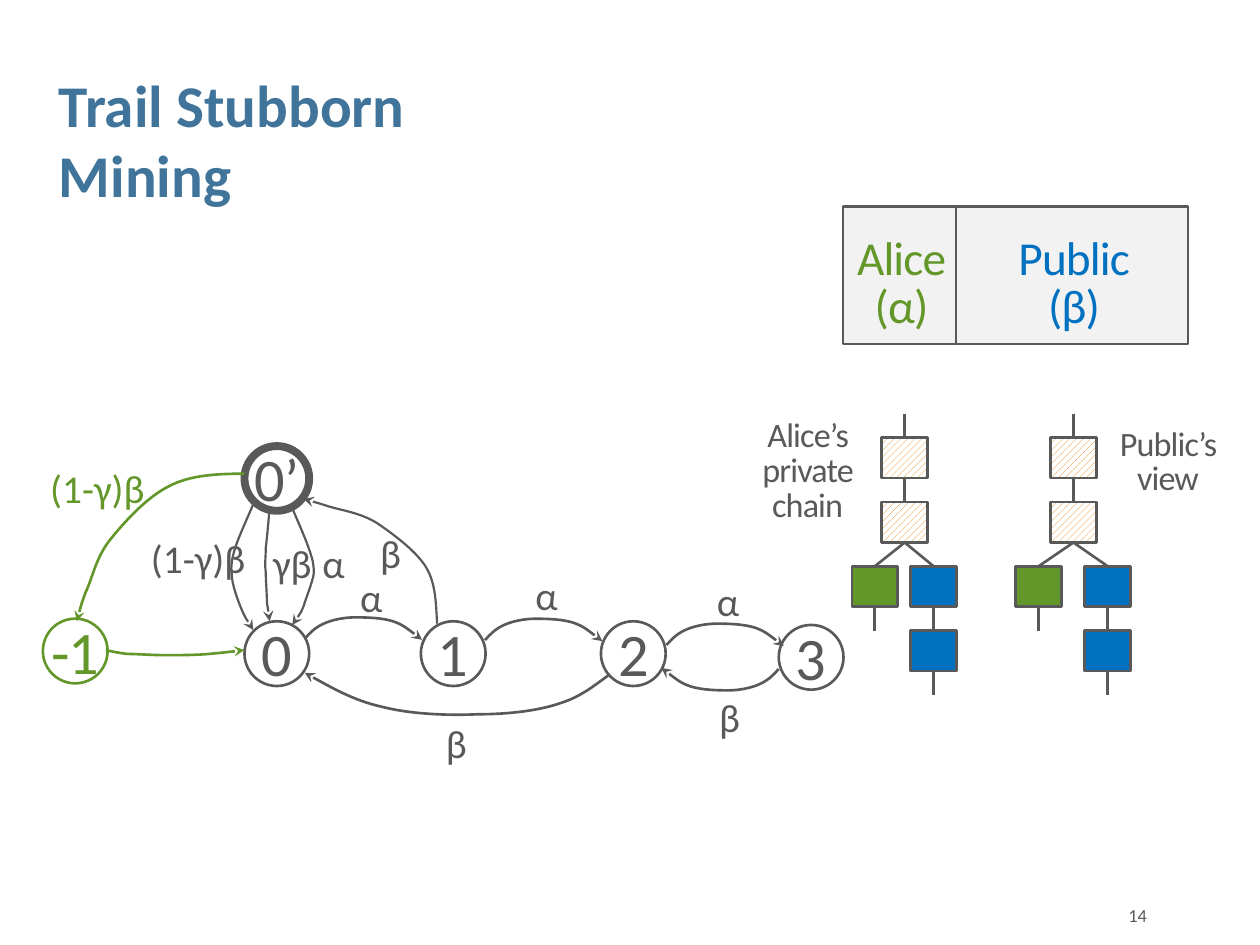
import pptx
import pptx.util
import pptx.dml.color
import pptx.enum.dml
import pptx.enum.shapes
import pptx.enum.text
import pptx.oxml.ns
from lxml import etree

Pt = pptx.util.Pt
SHAPES = pptx.enum.shapes.MSO_SHAPE
ALIGN = pptx.enum.text.PP_ALIGN
ANCHOR = pptx.enum.text.MSO_ANCHOR
qn = pptx.oxml.ns.qn

COLORS = {"gray": "595959", "title": "40749B", "green": "639729",
          "blue": "0070C0", "panel": "F2F2F2", "orange": "E48312", "white": "FFFFFF"}

# ---- Content: text, left, top, and so on, in points ----
TITLE = "Trail Stubborn Mining"
PAGE_NUMBER = "14"
LEGEND = [(["Alice", "(α)"], 482.4, 65.5, "green"), (["Public", "(β)"], 571.7, 84.2, "blue")]
CHAIN_NAMES = [("Alice’s private chain", 420.5, 236.2), ("Public’s view", 626.4, 241.2)]

NODE = 37
STATES = [("0", 139.7, 355, "gray"), ("1", 240.5, 355, "gray"), ("2", 343.4, 355, "gray"),
          ("3", 445, 357.1, "gray"), ("0’", 139.7, 254.9, "gray"), ("-1", 24.5, 353.5, "green")]

EDGE_LABELS = [("α", 198.7, 324, "gray"), ("α", 298.8, 322.6, "gray"), ("α", 402.5, 326.2, "gray"),
               ("α", 177.1, 304.6, "gray"), ("β", 403.9, 392.4, "gray"), ("β", 247.7, 407.5, "gray"),
               ("β", 210.2, 298.8, "gray"), ("γβ", 149, 304.6, "gray"),
               ("(1-γ)β", 79.2, 301.7, "gray"), ("(1-γ)β", 21.6, 261.4, "green")]
LABEL_WIDTHS = {1: 27, 2: 37, 6: 69}

# One arc between neighbouring states, relative to its start
STEP_ARC = [(0, 0), (2.9, -3.3), (5.8, -6.3), (10.6, -8.5), (15.3, -10.7), (22.3, -12.2),
            (28.8, -12.2), (35.3, -12.2), (43.7, -12), (50.2, -10), (56.5, -7.9),
            (67, 0.6), (67, 0.6)]
STEPS = [(174.2, 365, 1), (277.2, 365.8, 1), (380.9, 368.6, 1), (445, 382.3, -1)]

# Other transitions: colour, line width, start point and Bézier points
TRANSITIONS = [
    # 2 to 0
    ("gray", 1.5, [(347.8, 385.9), (339.8, 391.7), (331.9, 398.2), (320.4, 401.8), (308.2, 406.1),
                   (290.9, 408.2), (273.6, 408.2), (256.3, 409), (234.7, 408.2), (218.2, 403.9),
                   (201.6, 400.3), (174.2, 384.5), (174.2, 384.5)]),
    # 1 to 0’
    ("gray", 1.25, [(249.8, 356.4), (249.1, 344.9), (249.1, 333.4), (243.4, 324), (237.6, 314.6),
                    (223.9, 304.6), (215.3, 298.8), (205.9, 293), (195.1, 291.6), (187.9, 289.4),
                    (181.4, 287.3), (173.5, 285.1), (173.5, 285.1)]),
    # 0’ to 0: right, middle, left
    ("gray", 1.25, [(166.3, 288.7), (169.9, 297.4), (174.2, 306.7), (176.4, 313.2), (178.6, 319.7),
                    (179.3, 321.8), (179.3, 327.6), (178.6, 332.6), (175, 341.3), (173.5, 346.3),
                    (171.4, 351.4), (167, 357.1), (167, 357.1)]),
    ("gray", 1.25, [(154.1, 290.2), (153.4, 298.8), (152.6, 307.4), (151.9, 313.2), (151.9, 319.7),
                    (151.2, 321.8), (151.9, 326.9), (151.9, 331.9), (152.6, 339.8), (152.6, 344.9),
                    (153.4, 349.2), (154.1, 355), (154.1, 355)]),
    ("gray", 1.25, [(145.4, 286.6), (141.1, 296.6), (136.8, 306), (134.6, 312.5), (132.5, 319.7),
                    (131.8, 322.6), (132.5, 328.3), (132.5, 334.1), (136.1, 343.4), (138.2, 348.5),
                    (140.4, 353.5), (144.7, 360), (144.7, 360)]),
    # 0’ to -1
    ("green", 1.5, [(139.7, 270.7), (124.6, 270.7), (108.7, 271.4), (96.5, 277.9), (83.5, 284.4),
                    (70.6, 298.8), (62.6, 308.9), (54.7, 319), (52.6, 331.2), (49, 338.4),
                    (46.1, 346.3), (43.9, 355), (43.9, 355)]),
    # -1 to 0
    ("green", 1.5, [(60.5, 371.5), (63.4, 372.2), (67, 373), (72.7, 373.7), (78.5, 373.7),
                    (86.4, 374.4), (94.3, 374.4), (102.2, 374.4), (112.3, 374.4), (119.5, 373.7),
                    (127.4, 373), (139.7, 371.5), (139.7, 371.5)]),
]

# Block chains: centres of the shared trunk, Alice's block and the public blocks
BLOCK_W, BLOCK_H, GAP = 26.2, 23.2, 13.6
CHAIN_TOP = 250
CHAINS = [(517, 499.9, 533.5), (613.4, 593.5, 633)]

deck = pptx.Presentation()
deck.slide_width, deck.slide_height = Pt(720), Pt(540)
page = deck.slides.add_slide(deck.slide_layouts[6])


def rgb(name):
    return pptx.dml.color.RGBColor.from_string(COLORS[name])


def set_line(item, color, width):
    item.line.color.rgb = rgb(color)
    item.line.width = Pt(width)


def add_outline(kind, left, top, width, height, fill=None, color="gray", weight=1.5):
    shape = page.shapes.add_shape(kind, Pt(left), Pt(top), Pt(width), Pt(height))
    shape.shadow.inherit = False
    set_line(shape, color, weight)
    if fill:
        shape.fill.solid()
        shape.fill.fore_color.rgb = rgb(fill)
    else:
        shape.fill.background()
    return shape


def add_text(lines, left, top, width, height, size, color, align=ALIGN.LEFT,
             tight=False, wrap=True, bold=False, anchor=ANCHOR.TOP):
    box = page.shapes.add_textbox(Pt(left), Pt(top), Pt(width), Pt(height))
    frame = box.text_frame
    frame.word_wrap = wrap
    frame.vertical_anchor = anchor
    for index, line in enumerate(lines):
        para = frame.add_paragraph() if index else frame.paragraphs[0]
        span = para.add_run()
        span.text = line
        para.alignment = align
        para.font.name, para.font.size, para.font.bold = "Calibri", Pt(size), bold
        para.font.color.rgb = rgb(color)
        if tight:
            para.line_spacing = 0.85
            span._r.get_or_add_rPr().set("spc", "-50")


def add_curve(points, color, width):
    places = [(Pt(x), Pt(y)) for x, y in points]
    builder = page.shapes.build_freeform(*places[0])
    builder.add_line_segments(places[1:], close=False)
    curve = builder.convert_to_shape()
    curve.shadow.inherit = False
    curve.fill.background()
    set_line(curve, color, width)
    # Every three points become one Bézier segment
    segments = curve._element.xpath(".//a:lnTo")
    for start in range(0, len(segments), 3):
        first, *others = segments[start:start + 3]
        first.tag = qn("a:cubicBezTo")
        for other in others:
            first.append(other[0])
            other.getparent().remove(other)
    etree.SubElement(curve.line._get_or_add_ln(), qn("a:tailEnd"), type="stealth")


def add_link(x1, y1, x2, y2, above=None, below=None, width=1.5):
    link = page.shapes.add_connector(pptx.enum.shapes.MSO_CONNECTOR.STRAIGHT,
                                     Pt(x1), Pt(y1), Pt(x2), Pt(y2))
    set_line(link, "gray", width)
    etree.SubElement(link._element.spPr, qn("a:effectLst"))
    if above is not None:
        link.begin_connect(above, 2)
    if below is not None:
        link.end_connect(below, 0)


def add_block(center, row, fill=None):
    top = CHAIN_TOP + row * (BLOCK_H + GAP)
    block = add_outline(SHAPES.RECTANGLE, center - BLOCK_W / 2, top, BLOCK_W, BLOCK_H, fill)
    if not fill:
        block.fill.patterned()
        block.fill.pattern = pptx.enum.dml.MSO_PATTERN.WIDE_UPWARD_DIAGONAL
        block.fill.fore_color.rgb = rgb("orange")
        block.fill.back_color.rgb = rgb("white")
    return block


def add_stub(center, row, block):
    bottom = CHAIN_TOP + row * (BLOCK_H + GAP) + BLOCK_H
    add_link(center, bottom, center, bottom + GAP, above=block)


# ---- Title and page number ----
add_text([TITLE], 26.6, 35.3, 303.1, 48.2, 33.8, "title", bold=True)
add_text([PAGE_NUMBER], 584.6, 508.3, 77.8, 28.8, 10.5, "gray", ALIGN.RIGHT, anchor=ANCHOR.MIDDLE)

# ---- Legend panel ----
add_outline(SHAPES.RECTANGLE, 481.7, 118, 197.3, 78.5, "panel", weight=1.25)
add_link(546.5, 117.4, 546.5, 196.6, width=1)
for lines, left, width, color in LEGEND:
    add_text(lines, left, 131.8, width, 39, 27, color, ALIGN.CENTER, tight=True)

# ---- State machine ----
for name, left, top, color in STATES:
    add_outline(SHAPES.OVAL, left, top, NODE, NODE, color=color,
                weight=4.5 if name == "0’" else 1.5)
    add_text([name], left - 12.1, top, 61.2, 39, 34.5, color, ALIGN.CENTER, tight=True)
for left, top, sign in STEPS:
    add_curve([(left + sign * x, top + sign * y) for x, y in STEP_ARC], "gray", 1.5)
for color, width, points in TRANSITIONS:
    add_curve(points, color, width)
for label, left, top, color in EDGE_LABELS:
    add_text([label], left, top, LABEL_WIDTHS[len(label)], 34.6, 22.5, color, wrap=False)

# ---- Block chains ----
for trunk, alice, public in CHAINS:
    upper, lower = add_block(trunk, 0), add_block(trunk, 1)
    own, rival, newest = (add_block(alice, 2, "green"), add_block(public, 2, "blue"),
                          add_block(public, 3, "blue"))
    add_link(trunk, CHAIN_TOP - GAP, trunk, CHAIN_TOP, below=upper)
    for above, below in [(upper, lower), (lower, own), (lower, rival), (rival, newest)]:
        add_link(0, 0, 0, 0, above, below)
    add_stub(alice, 2, own)
    add_stub(public, 3, newest)
for name, left, top in CHAIN_NAMES:
    add_text([name], left, top, 82.1, 39, 19.5, "gray", ALIGN.CENTER, tight=True)

deck.save("out.pptx")
